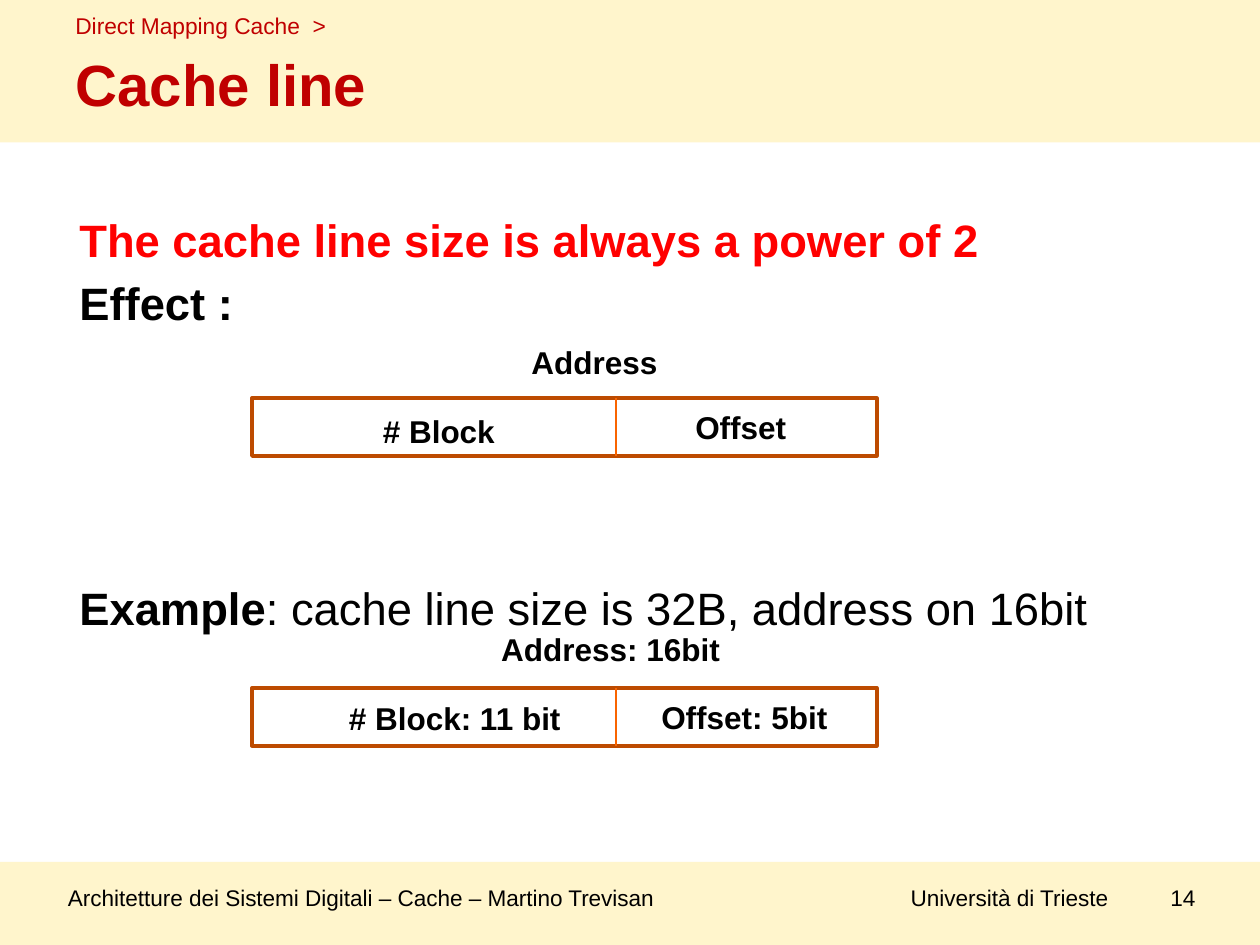
from lxml import etree
from pptx import Presentation
from pptx import util as u
from pptx.dml.color import RGBColor
from pptx.enum import shapes, text
from pptx.oxml.ns import qn

CREAM = RGBColor(0xFF, 0xF5, 0xCC)
DARK_RED = RGBColor(0xC0, 0x00, 0x00)
RED = RGBColor(0xFF, 0x00, 0x00)
BLACK = RGBColor(0x00, 0x00, 0x00)
FRAME = RGBColor(0xBD, 0x4B, 0x00)
DIVIDER = RGBColor(0xF9, 0x64, 0x00)

WIDTH, HEIGHT = 10, 7.5
MARGIN, CONTENT_WIDTH = 0.5, 8.94
HEADER_HEIGHT, FOOTER_HEIGHT = 1.13, 0.66
FOOTER_TOP, FOOTER_TEXT_HEIGHT = 6.91, 0.43
FIELD_LEFT, FIELD_WIDTH, FIELD_HEIGHT, SPLIT = 2, 4.96, 0.46, 4.89
LABEL_HEIGHT = 0.4

SECTION = "Direct Mapping Cache  >"
TITLE = "Cache line"
# (space before in points, runs of (text, bold, colour))
BODY = [
    (0, [("The cache line size is always a power of 2", True, RED)]),
    (3.2, [("Effect :", True, BLACK)]),
    (141.5, [("Example", True, BLACK),
             (": cache line size is 32B, address on 16bit", False, BLACK)]),
]
# Top of each address field, and labels as (text, left, offset from top, width)
ADDRESS_FIELDS = [
    (3.16, [("# Block", 2.94, 0.06, 1.54),
            ("Offset", 5.42, 0.03, 1.54),
            ("Address", 4.12, -0.49, 1.54)]),
    (5.46, [("# Block: 11 bit", 2.67, 0.04, 1.95),
            ("Offset: 5bit", 5.15, 0.03, 1.54),
            ("Address: 16bit", 3.88, -0.51, 2.2)]),
]
# (text, left, width)
FOOTER = [
    ("Architetture dei Sistemi Digitali – Cache – Martino Trevisan", 0.44, 5.21),
    ("14", 9.19, 0.51),
    ("Università di Trieste", 7.13, 1.87),
]


def inches(*lengths):
    return [u.Inches(length) for length in lengths]


def place(shape, *box):
    for name, value in zip(("left", "top", "width", "height"), inches(*box)):
        setattr(shape, name, value)


def style(font, size, color, bold=False):
    values = {"name": "Arial", "size": u.Pt(size), "bold": bold}
    for name, value in values.items():
        setattr(font, name, value)
    font.color.rgb = color


def write(shape, content, size, color=BLACK, bold=False,
          anchor=text.MSO_ANCHOR.TOP):
    frame = shape.text_frame
    frame.word_wrap = True
    frame.auto_size = text.MSO_AUTO_SIZE.NONE
    frame.vertical_anchor = anchor
    paragraph = frame.paragraphs[0]
    paragraph.alignment = text.PP_ALIGN.LEFT
    run = paragraph.add_run()
    run.text = content
    style(run.font, size, color, bold)


def add_label(slide, box, content, size, **options):
    write(slide.shapes.add_textbox(*inches(*box)), content, size, **options)


def add_rectangle(slide, box, fill=None, line=None):
    shape = slide.shapes.add_shape(shapes.MSO_SHAPE.RECTANGLE, *inches(*box))
    shape.shadow.inherit = False
    if fill is None:
        shape.fill.background()
    else:
        shape.fill.solid()
        shape.fill.fore_color.rgb = fill
    if line is None:
        shape.line.fill.background()
    else:
        shape.line.color.rgb = line
        shape.line.width = u.Pt(2)


def add_divider(slide, x, top, bottom):
    line = slide.shapes.add_connector(
        shapes.MSO_CONNECTOR.STRAIGHT, *inches(x, top, x, bottom))
    line.line.color.rgb = DIVIDER
    line.line.width = u.Pt(0.75)
    etree.SubElement(line._element.spPr, qn("a:effectLst"))


def fill_body(body):
    frame = body.text_frame
    frame.auto_size = text.MSO_AUTO_SIZE.NONE
    for index, (space_before, runs) in enumerate(BODY):
        paragraph = frame.add_paragraph() if index else frame.paragraphs[0]
        properties = paragraph._p.get_or_add_pPr()
        properties.set("marL", str(u.Inches(0.03)))
        properties.set("indent", "0")
        etree.SubElement(properties, qn("a:buNone"))
        paragraph.space_before = u.Pt(space_before)
        paragraph.space_after = u.Pt(1.9)
        for content, bold, color in runs:
            run = paragraph.add_run()
            run.text = content
            style(run.font, 25.9, color, bold)


def main():
    presentation = Presentation()
    presentation.slide_width, presentation.slide_height = inches(WIDTH, HEIGHT)
    slide = presentation.slides.add_slide(presentation.slide_layouts[1])
    title, body = slide.placeholders

    add_rectangle(slide, (0, HEIGHT - FOOTER_HEIGHT, WIDTH, FOOTER_HEIGHT), fill=CREAM)
    add_rectangle(slide, (0, 0, WIDTH, HEADER_HEIGHT), fill=CREAM)
    for content, left, width in FOOTER:
        add_label(slide, (left, FOOTER_TOP, width, FOOTER_TEXT_HEIGHT), content,
                  12.9, anchor=text.MSO_ANCHOR.MIDDLE)

    # The placeholders go in front of the bands
    for placeholder in (title, body):
        slide.shapes._spTree.append(placeholder._element)
    place(title, MARGIN, 0.44, CONTENT_WIDTH, 0.55)
    write(title, TITLE, 33.2, color=DARK_RED, bold=True,
          anchor=text.MSO_ANCHOR.BOTTOM)
    place(body, MARGIN, 1.63, CONTENT_WIDTH, 4.73)
    fill_body(body)

    for top, labels in ADDRESS_FIELDS:
        add_rectangle(slide, (FIELD_LEFT, top, FIELD_WIDTH, FIELD_HEIGHT), line=FRAME)
        add_divider(slide, SPLIT, top, top + FIELD_HEIGHT)
        for content, left, offset, width in labels:
            add_label(slide, (left, top + offset, width, LABEL_HEIGHT), content,
                      18, bold=True)

    add_label(slide, (MARGIN, 0, CONTENT_WIDTH, LABEL_HEIGHT), SECTION, 13,
              color=DARK_RED, anchor=text.MSO_ANCHOR.MIDDLE)
    presentation.save("out.pptx")


if __name__ == "__main__":
    main()
